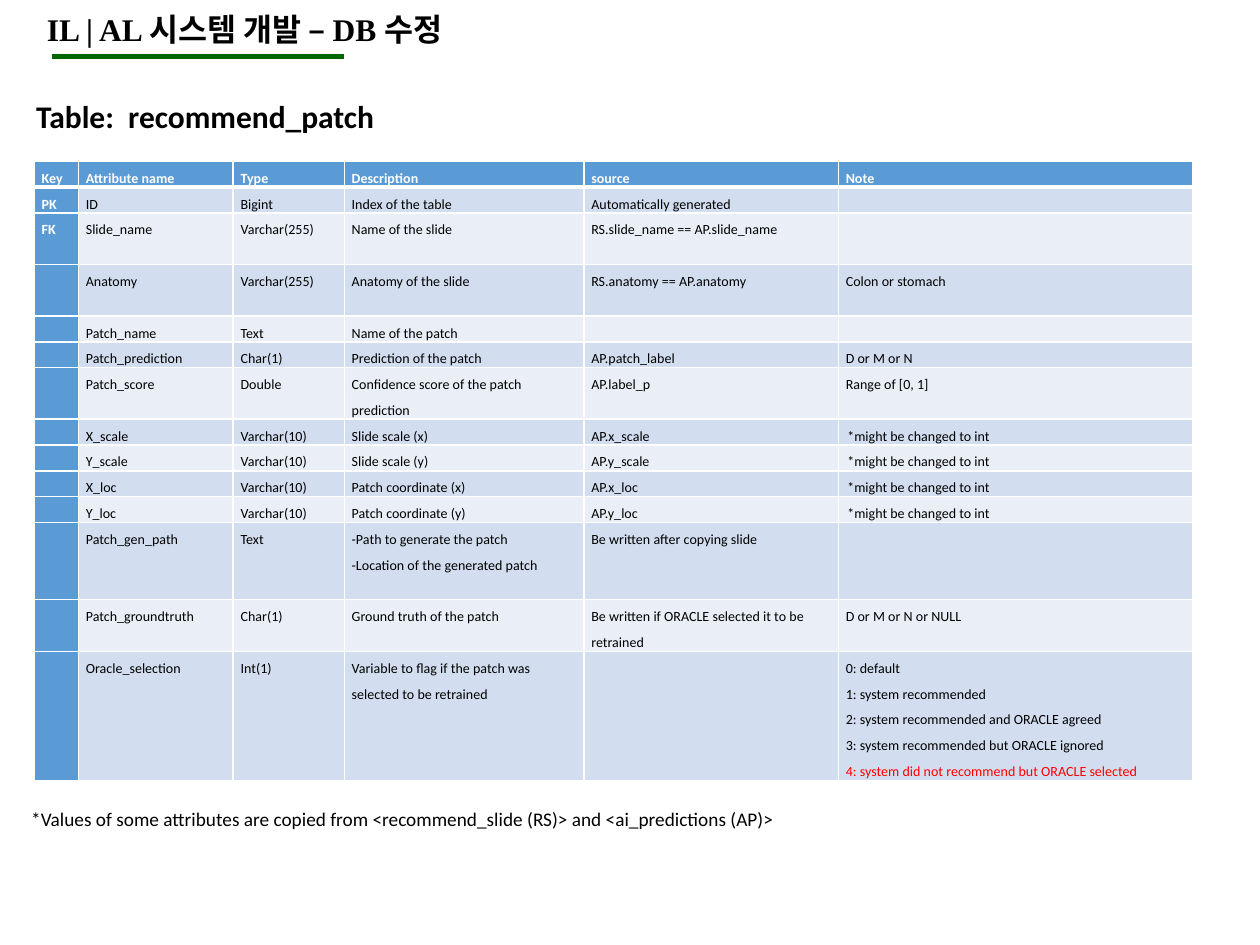
from lxml import etree
from pptx import Presentation
from pptx.dml.color import RGBColor
from pptx.enum.shapes import MSO_CONNECTOR
from pptx.enum.text import MSO_ANCHOR, MSO_AUTO_SIZE, PP_ALIGN
from pptx.oxml.ns import qn
from pptx.util import Cm, Pt

STRAIGHT = MSO_CONNECTOR.STRAIGHT
TOP = MSO_ANCHOR.TOP
LEFT = PP_ALIGN.LEFT
GROW = MSO_AUTO_SIZE.SHAPE_TO_FIT_TEXT

THEME = {
    "head": "5B9BD5", "bands": ("EAEFF7", "D2DEEF"), "rule": "006600",
    "white": "FFFFFF", "black": "000000", "red": "FF0000",
    "title": 18, "note": 11, "cell": 8,
    "title_font": "Times New Roman", "font": "Calibri",
}

COLS = (0.89, 3.12, 2.24, 4.83, 5.13, 7.14)
LINE_H = 0.52
LINES = (1, 1, 2, 2, 1, 1, 2, 1, 1, 1, 1, 3, 2, 5)
INT_NOTE = "*might be changed to int"
FLAGS = """0: default
1: system recommended
2: system recommended and ORACLE agreed
3: system recommended but ORACLE ignored
4: system did not recommend but ORACLE selected"""
ROWS = (
    ("Key", "Attribute name", "Type", "Description", "source", "Note"),
    ("PK", "ID", "Bigint", "Index of the table", "Automatically generated", ""),
    ("FK", "Slide_name", "Varchar(255)", "Name of the slide", "RS.slide_name == AP.slide_name", ""),
    ("", "Anatomy", "Varchar(255)", "Anatomy of the slide", "RS.anatomy == AP.anatomy", "Colon or stomach"),
    ("", "Patch_name", "Text", "Name of the patch", "", ""),
    ("", "Patch_prediction", "Char(1)", "Prediction of the patch", "AP.patch_label", "D or M or N"),
    ("", "Patch_score", "Double", "Confidence score of the patch prediction", "AP.label_p", "Range of [0, 1]"),
    ("", "X_scale", "Varchar(10)", "Slide scale (x)", "AP.x_scale", INT_NOTE),
    ("", "Y_scale", "Varchar(10)", "Slide scale (y)", "AP.y_scale", INT_NOTE),
    ("", "X_loc", "Varchar(10)", "Patch coordinate (x)", "AP.x_loc", INT_NOTE),
    ("", "Y_loc", "Varchar(10)", "Patch coordinate (y)", "AP.y_loc", INT_NOTE),
    ("", "Patch_gen_path", "Text", "-Path to generate the patch\v-Location of the generated patch",
     "Be written after copying slide", ""),
    ("", "Patch_groundtruth", "Char(1)", "Ground truth of the patch",
     "Be written if ORACLE selected it to be retrained", "D or M or N or NULL"),
    ("", "Oracle_selection", "Int(1)", "Variable to flag if the patch was selected to be retrained", "", FLAGS),
)


def style(p, size, color, bold=False, font=THEME["font"]):
    p.font.name = font
    p.font.size = Pt(size)
    p.font.bold = bold
    p.font.color.rgb = RGBColor.from_string(color)


def add_border(cell, side, width):
    ln = etree.SubElement(cell._tc.get_or_add_tcPr(), qn(f"a:ln{side}"), w=str(Pt(width)))
    fill = etree.SubElement(ln, qn("a:solidFill"))
    etree.SubElement(fill, qn("a:srgbClr"), val=THEME["white"])


prs = Presentation()
prs.slide_width, prs.slide_height = Cm(25.4), Cm(19.05)
s = prs.slides.add_slide(prs.slide_layouts[5])

title = s.shapes.title
title.left, title.top, title.width, title.height = Cm(0.69), Cm(0.08), Cm(17.68), Cm(1.02)
tf = title.text_frame
tf.text = "IL | AL 시스템 개발 – DB 수정"
tf.vertical_anchor = TOP
tf.auto_size = GROW
p = tf.paragraphs[0]
p.alignment = LEFT
style(p, THEME["title"], THEME["black"], True, THEME["title_font"])

rule = s.shapes.add_connector(STRAIGHT, Cm(1.04), Cm(1.14), Cm(6.93), Cm(1.14))
rule.line.color.rgb = RGBColor.from_string(THEME["rule"])
rule.line.width = Pt(3)
etree.SubElement(rule._element.spPr, qn("a:effectLst"))

for text, box, size, bold, wrap in (
    ("Table:  recommend_patch", (0.48, 1.83, 7.52, 1.02), THEME["title"], True, False),
    ("*Values of some attributes are copied from <recommend_slide (RS)> and <ai_predictions (AP)>",
     (0.38, 16.15, 18.26, 0.74), THEME["note"], False, True),
):
    sp = s.shapes.add_textbox(*map(Cm, box))
    tf = sp.text_frame
    tf.text = text
    tf.word_wrap = wrap
    tf.auto_size = GROW
    style(tf.paragraphs[0], size, THEME["black"], bold)

frame = s.shapes.add_table(len(ROWS), len(COLS), Cm(0.69), Cm(3.25),
                           Cm(sum(COLS)), Cm(LINE_H * sum(LINES)))
table = frame.table
table.first_col = True
for col, width in zip(table.columns, COLS):
    col.width = Cm(width)

for i, (row, lines) in enumerate(zip(ROWS, LINES)):
    table.rows[i].height = Cm(LINE_H * lines)
    for j, text in enumerate(row):
        cell = table.cell(i, j)
        head = i == 0 or j == 0
        cell.margin_left = cell.margin_right = Cm(0.18 if text == INT_NOTE else 0.15)
        cell.margin_top = cell.margin_bottom = 0
        for side in "LRTB":
            thick = (i, side) in ((0, "B"), (1, "T"))
            add_border(cell, side, 3 if thick else 1)
        cell.fill.solid()
        cell.fill.fore_color.rgb = RGBColor.from_string(THEME["head"] if head else THEME["bands"][i % 2])
        cell.text_frame.text = text
        for p in cell.text_frame.paragraphs:
            p.line_spacing = 1.5
            style(p, THEME["cell"], THEME["white"] if head else THEME["black"], head)
            if not text:
                etree.SubElement(p._p, qn("a:endParaRPr"), sz=str(THEME["cell"] * 100))

r = table.cell(len(ROWS) - 1, len(COLS) - 1).text_frame.paragraphs[-1].runs[0]
r.font.color.rgb = RGBColor.from_string(THEME["red"])

prs.save("out.pptx")
